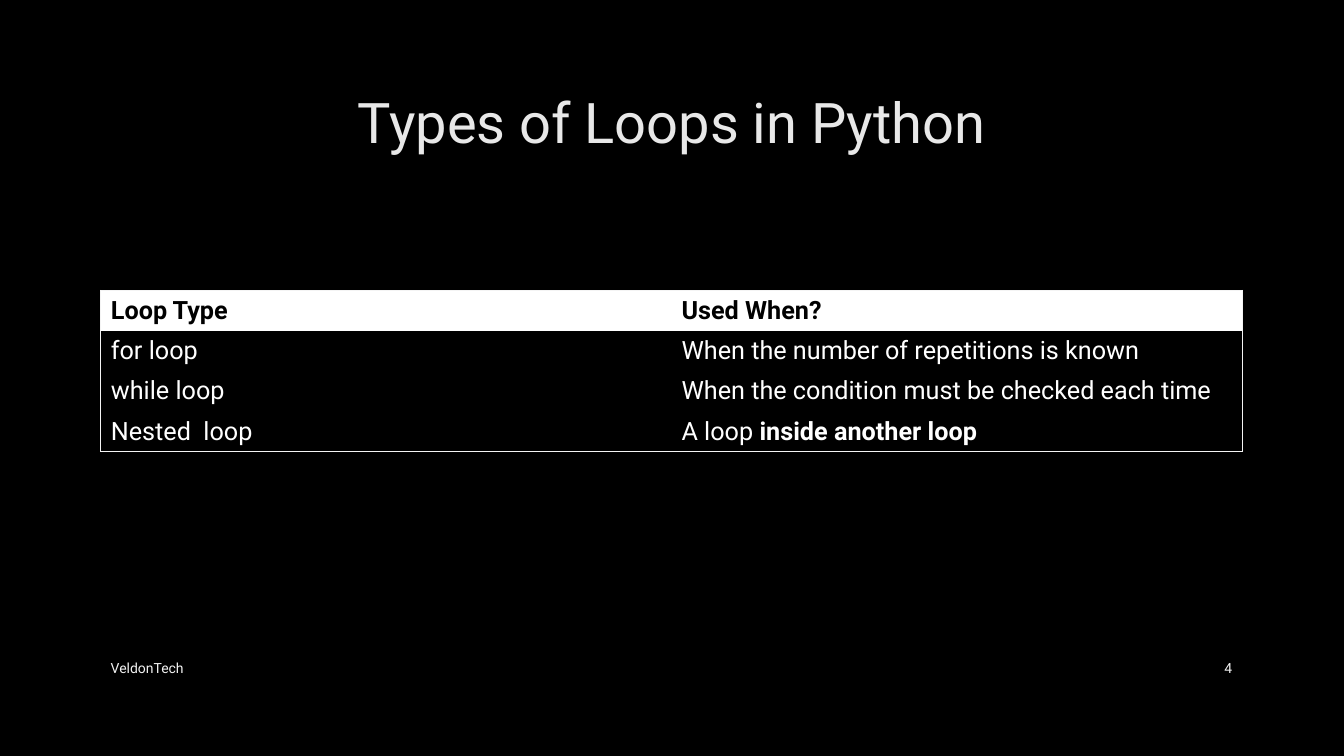
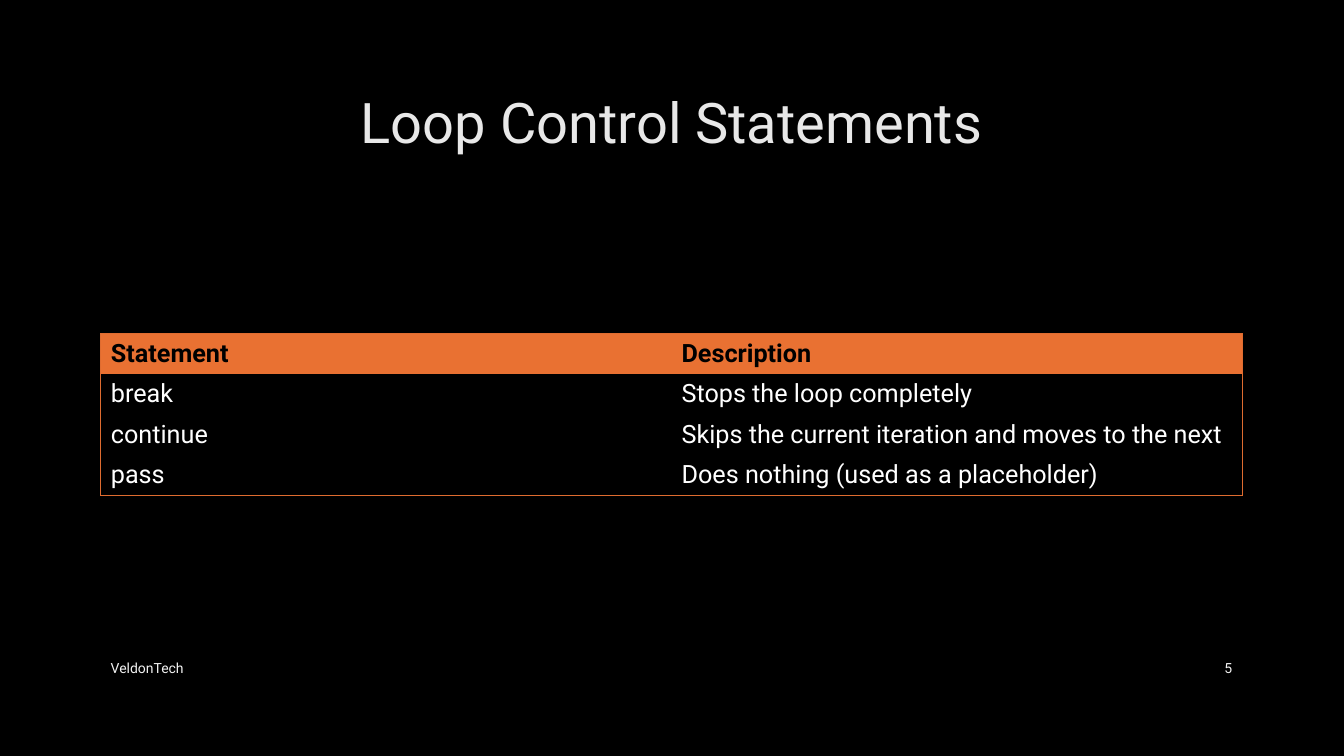
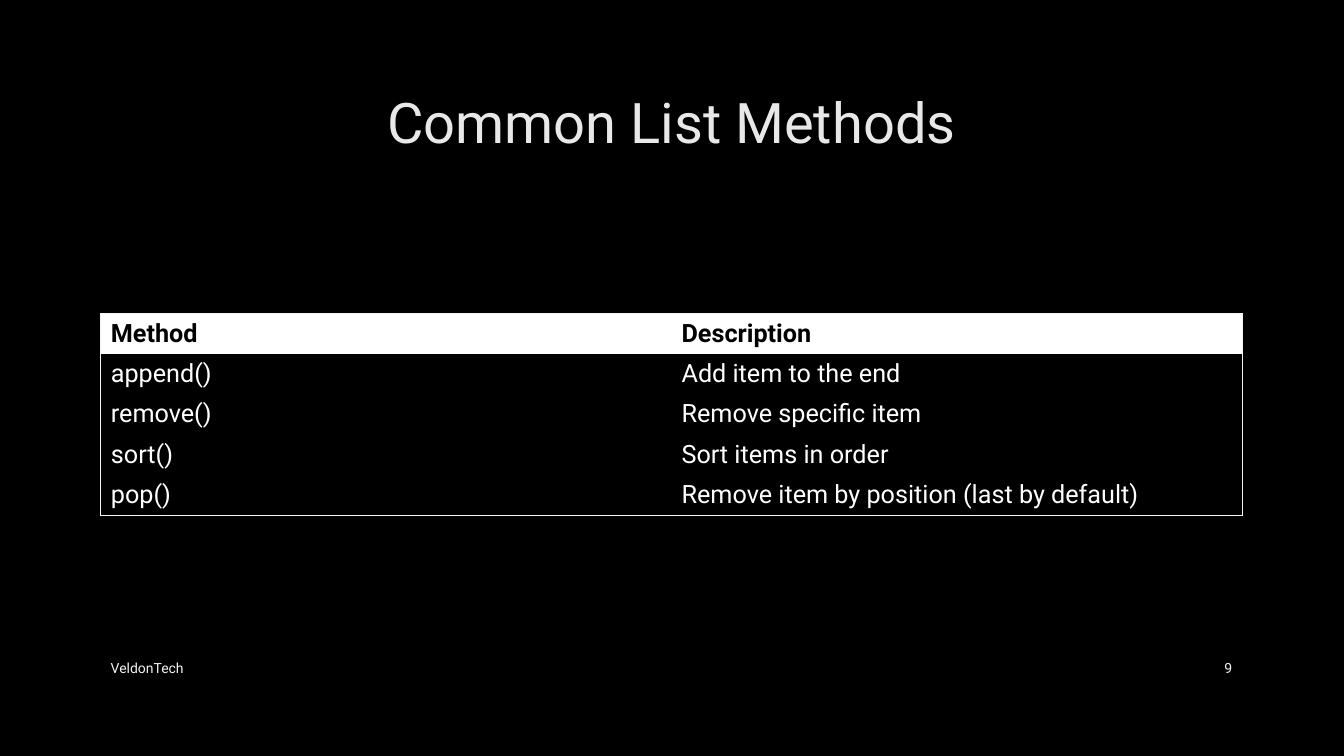
import dataclasses

import lxml.etree
import pptx
import pptx.dml.color
import pptx.enum.text
import pptx.oxml.ns
import pptx.util

Inches = pptx.util.Inches
Pt = pptx.util.Pt
Align = pptx.enum.text.PP_ALIGN
Anchor = pptx.enum.text.MSO_ANCHOR
qn = pptx.oxml.ns.qn


@dataclasses.dataclass(frozen=True)
class Theme:
    font: str = "Roboto"
    ground: str = "000000"
    title: str = "E8E8E8"
    title_outline: str = "404040"
    header_text: str = "000000"
    body_text: str = "FFFFFF"
    footer: str = "F2F2F2"
    title_size: int = 40
    table_size: int = 18
    footer_size: int = 10
    line_width: float = 0.75
    left: float = 1
    width: float = 11.32
    row_height: float = 0.4


@dataclasses.dataclass(frozen=True)
class Accent:
    fill: str
    border: str


THEME = Theme()
WHITE = Accent("FFFFFF", "F4F4F4")
ORANGE = Accent("E97132", "DF6C30")
FOOTER = "VeldonTech"

# Page number, title, table top, accent, rows; a tuple in a row is (plain, bold).
PAGES = [
    (4, "Types of Loops in Python", 2.88, WHITE, [
        ["Loop Type", "Used When?"],
        ["for loop", "When the number of repetitions is known"],
        ["while loop", "When the condition must be checked each time"],
        ["Nested  loop", ("A loop ", "inside another loop")],
    ]),
    (5, "Loop Control Statements", 3.31, ORANGE, [
        ["Statement", "Description"],
        ["break", "Stops the loop completely"],
        ["continue", "Skips the current iteration and moves to the next"],
        ["pass", "Does nothing (used as a placeholder)"],
    ]),
    (9, "Common List Methods", 3.11, WHITE, [
        ["Method", "Description"],
        ["append()", "Add item to the end"],
        ["remove()", "Remove specific item"],
        ["sort()", "Sort items in order"],
        ["pop()", "Remove item by position (last by default)"],
    ]),
]


def rgb(color):
    return pptx.dml.color.RGBColor.from_string(color)


def style_font(font, size, color, bold=False):
    font.name = THEME.font
    font.size = Pt(size)
    font.bold = bold
    font.color.rgb = rgb(color)


def solid_line(line, color, alpha=None):
    """Give a line element its width and a solid colour."""
    line.set("w", str(Pt(THEME.line_width)))
    fill = lxml.etree.SubElement(line, qn("a:solidFill"))
    tint = lxml.etree.SubElement(fill, qn("a:srgbClr"), val=color)
    if alpha is not None:
        lxml.etree.SubElement(tint, qn("a:alpha"), val=str(alpha))


def add_label(page, text, left, top, width, height, size, color, align=Align.LEFT):
    box = page.shapes.add_textbox(Inches(left), Inches(top), Inches(width), Inches(height))
    frame = box.text_frame
    frame.word_wrap = True
    frame.vertical_anchor = Anchor.MIDDLE
    frame.text = text
    para = frame.paragraphs[0]
    para.alignment = align
    span = para.runs[0]
    style_font(span.font, size, color)
    return span


def add_title(page, text):
    span = add_label(page, text, THEME.left, 0.67, THEME.width, 1.06,
                     THEME.title_size, THEME.title, Align.CENTER)
    outline = lxml.etree.Element(qn("a:ln"))
    solid_line(outline, THEME.title_outline, alpha=10000)
    span.font._element.insert(0, outline)


def add_footer(page, number):
    style = (THEME.footer_size, THEME.footer)
    number_width = 0.82
    number_left = THEME.left + THEME.width - number_width
    add_label(page, FOOTER, THEME.left, 6.43, 7.3, 0.4, *style)
    add_label(page, str(number), number_left, 6.43, number_width, 0.4, *style, Align.RIGHT)


def set_borders(cell, color, outer_sides):
    """Draw the sides that lie on the table's edge and clear the others."""
    properties = cell._tc.get_or_add_tcPr()
    for side, is_outer in outer_sides.items():
        line = lxml.etree.SubElement(properties, qn(f"a:ln{side}"))
        if is_outer:
            solid_line(line, color)
        else:
            lxml.etree.SubElement(line, qn("a:noFill"))


def fill_cell(cell, content, is_header, accent):
    cell.vertical_anchor = Anchor.MIDDLE
    cell.fill.solid()
    cell.fill.fore_color.rgb = rgb(accent.fill if is_header else THEME.ground)
    color = THEME.header_text if is_header else THEME.body_text
    parts = (content,) if isinstance(content, str) else content
    para = cell.text_frame.paragraphs[0]
    for index, part in enumerate(parts):
        span = para.add_run()
        span.text = part
        style_font(span.font, THEME.table_size, color, is_header or index > 0)


def add_grid(page, top, accent, rows):
    row_count, column_count = len(rows), len(rows[0])
    frame = page.shapes.add_table(row_count, column_count, Inches(THEME.left), Inches(top),
                                  Inches(THEME.width), Inches(THEME.row_height * row_count))
    table = frame.table
    table.horz_banding = False
    for row_index, row in enumerate(rows):
        for column_index, content in enumerate(row):
            cell = table.cell(row_index, column_index)
            set_borders(cell, accent.border, {
                "L": column_index == 0,
                "R": column_index == column_count - 1,
                "T": row_index == 0,
                "B": row_index == row_count - 1,
            })
            fill_cell(cell, content, row_index == 0, accent)


def main():
    deck = pptx.Presentation()
    deck.slide_width = Inches(13.33)
    deck.slide_height = Inches(7.5)
    ground = deck.slide_master.background.fill
    ground.solid()
    ground.fore_color.rgb = rgb(THEME.ground)
    for number, title, top, accent, rows in PAGES:
        page = deck.slides.add_slide(deck.slide_layouts[6])
        add_title(page, title)
        add_grid(page, top, accent, rows)
        add_footer(page, number)
    deck.save("out.pptx")


if __name__ == "__main__":
    main()
